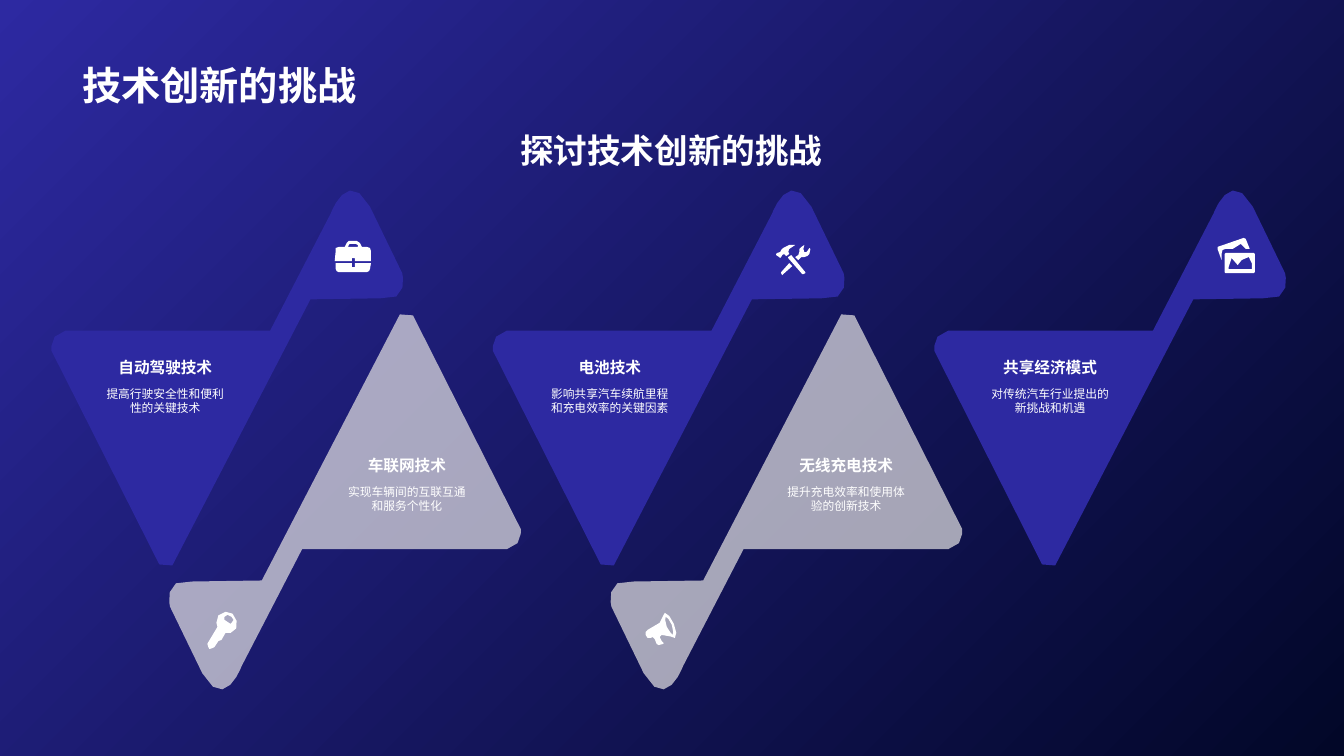
from lxml.etree import SubElement
from math import ceil
from pptx import Presentation
from pptx.dml.color import RGBColor
from pptx.enum.text import MSO_ANCHOR as Anchor, PP_ALIGN as Align
from pptx.oxml.ns import qn
from pptx.util import Pt

COLORS = {"indigo": "2D29A1", "night": "020728", "mist": "E6E4E4", "white": "FFFFFF"}
FONT = "Arial"
GRID = 0.72
CURVE_STEP = 8
CARD_WIDTH, CARD_HEIGHT = 358, 396

FUNNEL = [[
    (122, 396), (109, 395), (2, 183), (2, 183, 0, 165, 16, 163), (219, 163),
    (279, 47), (279, 47, 296, 0, 318, 40), (350, 106),
    (350, 106, 358, 136, 328, 131), (259, 132),
]]
BRIEFCASE = [
    [(17, 17), (20, 17), (20, 20), (36, 20), (36, 10), (35, 7), (32, 6), (27, 6),
     (25, 2), (22, 0), (14, 0), (12, 2), (10, 6), (4, 6), (1, 7), (1, 10), (0, 20),
     (17, 20)],
    [(14, 4), (15, 3), (21, 3), (23, 4), (23, 6), (13, 6)],
    [(20, 26), (17, 26), (17, 22), (1, 22), (1, 28), (2, 30), (4, 31), (32, 31),
     (34, 30), (35, 28), (36, 22), (20, 22)],
]
KEY = [
    [(29, 10), (28, 4, 23, 0, 18, 1), (12, 2, 8, 6, 9, 12), (10, 16), (1, 31), (0, 33),
     (1, 36), (2, 38), (5, 37), (7, 36), (11, 30), (14, 29), (18, 22), (23, 22),
     (28, 21, 31, 15, 29, 10)],
    [(24, 12), (23, 13), (20, 11), (17, 9), (17, 6), (20, 4), (24, 6), (26, 9)],
]
TOOLS = [
    [(6, 10), (8, 9), (10, 11), (13, 9), (13, 8), (12, 7), (13, 4), (19, 0), (13, 0),
     (7, 3), (5, 5), (4, 7), (1, 8), (0, 9), (0, 10), (3, 12), (4, 13), (5, 12)],
    [(15, 10), (12, 12), (12, 13), (26, 29), (27, 29), (29, 28), (29, 27)],
    [(34, 4), (33, 3), (31, 6), (30, 7), (28, 7), (27, 4), (28, 0), (25, 2), (23, 4),
     (23, 7), (22, 10), (19, 12), (22, 15), (25, 12), (28, 12), (31, 11), (33, 9)],
    [(5, 27), (5, 28), (6, 30), (7, 29), (16, 21), (13, 18)],
]
MEGAPHONE = [
    [(28, 11), (26, 5, 21, 0, 19, 0), (15, 2, 21, 10, 2, 17), (0, 19), (0, 22),
     (2, 25), (5, 25), (7, 24), (9, 26), (11, 31), (13, 32), (17, 31), (18, 30),
     (16, 28), (14, 24), (16, 22), (25, 21, 26, 26, 29, 25), (31, 24, 31, 17, 28, 11)],
    [(27, 22), (27, 22, 23, 19, 21, 14), (19, 9, 19, 4, 20, 4), (21, 4, 24, 7, 26, 12),
     (28, 17, 27, 21, 27, 22)],
]
PHOTOS = [
    [(32, 12), (28, 2), (26, 1), (0, 10), (0, 12), (4, 23), (4, 17), (5, 13), (8, 12),
     (15, 12), (23, 7), (28, 12)],
    [(36, 16), (8, 16), (7, 17), (7, 35), (8, 36), (36, 36), (37, 35), (37, 17)],
    [(34, 32), (11, 32), (11, 30), (14, 21), (20, 28), (24, 23), (31, 20), (34, 26)],
]

CARDS = [
    ("自动驾驶技术", "提高行驶安全性和便利性的关键技术", BRIEFCASE, (203.8, 53.3), 32.4),
    ("车联网技术", "实现车辆间的互联互通和服务个性化", KEY, (32.4, 211.7), 124.6),
    ("电池技术", "影响共享汽车续航里程和充电效率的关键因素", TOOLS, (203.8, 56.2), 34.6),
    ("无线充电技术", "提升充电效率和使用体验的创新技术", MEGAPHONE, (30.2, 213.1), 123.1),
    ("共享经济模式", "对传统汽车行业提出的新挑战和机遇", PHOTOS, (203.8, 50.4), 33.8),
]


def color(name):
    return RGBColor.from_string(COLORS[name])


def flatten(contour):
    points = [contour[0]]
    for segment in contour[1:]:
        if len(segment) == 2:
            points.append(segment)
            continue
        corners = [points[-1], segment[:2], segment[2:4], segment[4:]]
        span = max(max(values) - min(values) for values in zip(*corners))
        steps = max(2, ceil(span / CURVE_STEP))
        for step in range(1, steps + 1):
            t = step / steps
            weights = ((1 - t) ** 3, 3 * t * (1 - t) ** 2, 3 * t * t * (1 - t), t ** 3)
            points.append(tuple(
                sum(weight * corner[axis] for weight, corner in zip(weights, corners))
                for axis in (0, 1)))
    return points


def add_outline(slide, contours, left, top, fill, opacity=100, turned=False):
    def place(point):
        x, y = point
        if turned:
            x, y = CARD_WIDTH - x, CARD_HEIGHT - y
        return Pt(left + x * GRID), Pt(top + y * GRID)

    builder = None
    for contour in contours:
        start, *others = [place(point) for point in flatten(contour)]
        if builder is None:
            builder = slide.shapes.build_freeform(*start)
        else:
            builder.move_to(*start)
        builder.add_line_segments(others, close=True)
    shape = builder.convert_to_shape()
    shape.shadow.inherit = False
    shape.line.fill.background()
    shape.fill.solid()
    shape.fill.fore_color.rgb = color(fill)
    if opacity < 100:
        tint = shape._element.spPr.find(".//" + qn("a:srgbClr"))
        SubElement(tint, qn("a:alpha")).set("val", str(opacity * 1000))


def add_text(slide, text, box, size, bold=False, align=Align.CENTER, anchor=Anchor.TOP):
    text_frame = slide.shapes.add_textbox(*map(Pt, box)).text_frame
    text_frame.word_wrap = True
    text_frame.vertical_anchor = anchor
    text_frame.text = text
    paragraph = text_frame.paragraphs[0]
    paragraph.alignment = align
    font = paragraph.runs[0].font
    font.name, font.size, font.bold = FONT, Pt(size), bold
    font.color.rgb = color("white")
    SubElement(font._element, qn("a:ea")).set("typeface", FONT)


def add_background(slide):
    fill = slide.background.fill
    fill.gradient()
    fill.gradient_angle = 315
    for stop, name, position in zip(fill.gradient_stops, ("indigo", "night"), (0, 1)):
        stop.color.rgb = color(name)
        stop.position = position


def add_header(slide, left, top, width):
    add_text(slide, "技术创新的挑战", (left, top, width, 70.6), 28, True, Align.LEFT, Anchor.BOTTOM)
    add_text(slide, "探讨技术创新的挑战", (left, top + 79.2, width, 36), 24, True)


def add_card(slide, left, top, card, turned):
    heading, body, icon, (icon_x, icon_y), text_x = card
    fill, opacity, text_y = ("mist", 70, 88.6) if turned else ("indigo", 100, 124.6)
    add_outline(slide, FUNNEL, left, top, fill, opacity, turned)
    add_outline(slide, icon, left + icon_x, top + icon_y, "white")
    text_left, text_top = left + text_x, top + text_y
    add_text(slide, body, (text_left, text_top + 29.2, 100.8, 39.6), 8.4)
    add_text(slide, heading, (text_left, text_top, 100.8, 29.5), 11.2, True, anchor=Anchor.BOTTOM)


def main():
    presentation = Presentation()
    presentation.slide_width, presentation.slide_height = Pt(960), Pt(540)
    slide = presentation.slides.add_slide(presentation.slide_layouts[6])
    add_background(slide)
    add_header(slide, 51.8, 10.1, 855.4)
    for index, card in enumerate(CARDS):
        pair, turned = divmod(index, 2)
        left = 35.3 + 315.3 * pair + 80.4 * turned
        add_card(slide, left, 118.8 + 105.8 * turned, card, bool(turned))
    presentation.save("out.pptx")


if __name__ == "__main__":
    main()
